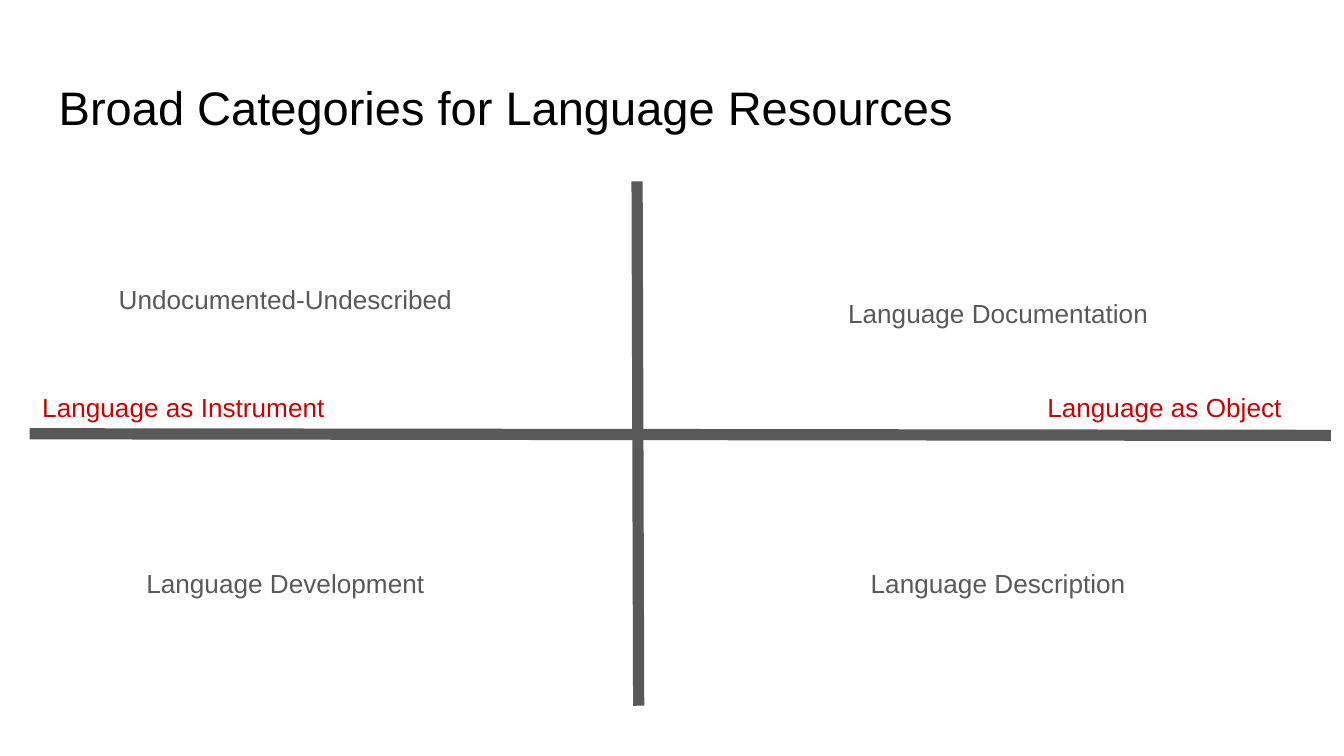
import pptx
import pptx.dml.color
import pptx.enum.shapes
import pptx.enum.text
import pptx.oxml
import pptx.util
from pptx.util import Cm

COLOURS = {"title": "000000", "grey": "595959", "red": "CC0000"}
FONT = "Arial"
LEFT, RIGHT = Cm(0.86), Cm(14.33)
UPPER, LOWER = Cm(3.2), Cm(8.31)
QUADRANT_WIDTH, QUADRANT_HEIGHT = Cm(9.07), Cm(5.33)

QUADRANTS = [
    ("Undocumented-Undescribed", LEFT, UPPER, Cm(4.83)),
    ("Language Description", RIGHT, LOWER, QUADRANT_HEIGHT),
    ("Language Documentation", RIGHT, UPPER, QUADRANT_HEIGHT),
    ("Language Development", LEFT, LOWER, QUADRANT_HEIGHT),
]
AXES = [
    (Cm(0.56), Cm(8.2), Cm(25.15), Cm(8.23)),
    (Cm(12.04), Cm(3.43), Cm(12.07), Cm(13.34)),
]
AXIS_ENDS = [("Language as Instrument", Cm(0.36)), ("Language as Object", Cm(18.9))]


def colour(name):
    return pptx.dml.color.RGBColor.from_string(COLOURS[name])


def write_text(box, text, size, colour_name, align, anchor):
    """Fill the box with one formatted paragraph and return the paragraph."""
    frame = box.text_frame
    frame.word_wrap = True
    frame.auto_size = pptx.enum.text.MSO_AUTO_SIZE.NONE
    frame.vertical_anchor = anchor
    frame.margin_left = frame.margin_right = Cm(0.25)
    frame.margin_top = frame.margin_bottom = Cm(0.25)
    para = frame.paragraphs[0]
    para.alignment = align
    para.space_before = pptx.util.Pt(0)
    para.line_spacing = 1.0
    span = para.add_run()
    span.text = text
    span.font.name = FONT
    span.font.size = pptx.util.Pt(size)
    span.font.color.rgb = colour(colour_name)
    return para


def add_title(page, text):
    title = page.shapes.title
    title.left, title.top = LEFT, Cm(1.24)
    title.width, title.height = Cm(23.67), Cm(1.6)
    write_text(title, text, 25.2, "title", pptx.enum.text.PP_ALIGN.LEFT,
               pptx.enum.text.MSO_ANCHOR.TOP)


def add_label(page, text, left, top, width, height, colour_name, anchor):
    box = page.shapes.add_textbox(left, top, width, height)
    return write_text(box, text, 14, colour_name,
                      pptx.enum.text.PP_ALIGN.CENTER, anchor)


def add_quadrant(page, text, left, top, height):
    para = add_label(page, text, left, top, QUADRANT_WIDTH, height, "grey",
                     pptx.enum.text.MSO_ANCHOR.MIDDLE)
    para.line_spacing = 1.15
    para.space_after = pptx.util.Pt(12)


def add_axis(page, *ends):
    axis = page.shapes.add_connector(pptx.enum.shapes.MSO_CONNECTOR.STRAIGHT, *ends)
    axis.line.color.rgb = colour("grey")
    axis.line.width = pptx.util.Pt(6)
    properties = axis.element.spPr
    properties.append(properties.makeelement(pptx.oxml.ns.qn("a:effectLst"), {}))


def main():
    deck = pptx.Presentation()
    deck.slide_width, deck.slide_height = Cm(25.4), Cm(14.29)
    page = deck.slides.add_slide(deck.slide_layouts.get_by_name("Title Only"))
    add_title(page, "Broad Categories for Language Resources")
    for quadrant in QUADRANTS:
        add_quadrant(page, *quadrant)
    for axis in AXES:
        add_axis(page, *axis)
    for text, left in AXIS_ENDS:
        add_label(page, text, left, Cm(7.14), Cm(6.22), Cm(1.12), "red",
                  pptx.enum.text.MSO_ANCHOR.TOP)
    deck.save("out.pptx")


if __name__ == "__main__":
    main()
